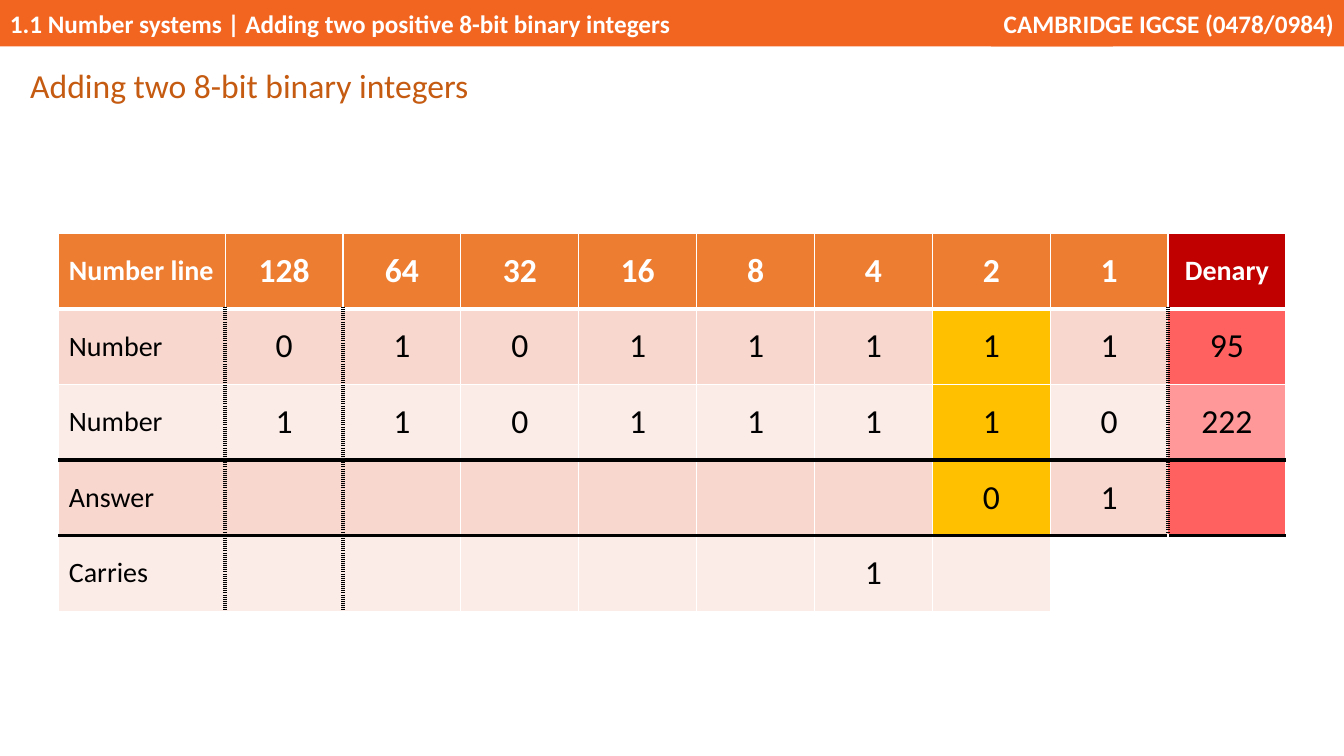
from lxml.etree import SubElement
from pptx import Presentation
from pptx.dml.color import RGBColor as Color
from pptx.enum.shapes import MSO_SHAPE as Shape
from pptx.enum.text import MSO_ANCHOR as Anchor, PP_ALIGN as Align
from pptx.oxml.ns import qn
from pptx.util import Pt

WHITE = Color(0xFF, 0xFF, 0xFF)
BLACK = Color(0, 0, 0)
BAR = Color(0xF2, 0x65, 0x21)
TITLE = Color(0xC5, 0x5A, 0x11)
HEAD = Color(0xED, 0x7D, 0x31)
DARK = Color(0xC0, 0, 0)
BANDS = Color(0xF8, 0xD7, 0xCE), Color(0xFC, 0xEC, 0xE8)
REDS = Color(0xFF, 0x61, 0x61), Color(0xFF, 0x99, 0x99)
GOLD = Color(0xFF, 0xC0, 0)

ROWS = [
    ["Number line", "128", "64", "32", "16", "8", "4", "2", "1", "Denary"],
    ["Number", "0", "1", "0", "1", "1", "1", "1", "1", "95"],
    ["Number", "1", "1", "0", "1", "1", "1", "1", "0", "222"],
    ["Answer", "", "", "", "", "", "", "0", "1", ""],
    ["Carries", "", "", "", "", "", "1", "", "", ""],
]
LAST_ROW = len(ROWS) - 1
LAST_COL = len(ROWS[0]) - 1
THIN = WHITE, 1, "solid"
THICK = WHITE, 3, "solid"
RULE = BLACK, 3, "solid"
DOTS = BLACK, 3, "sysDot"


def write(frame, text, size=18, color=WHITE, bold=False, align=Align.LEFT,
          font="Calibri", line=None, after=None):
    par = frame.paragraphs[0]
    par.alignment = align
    par.line_spacing = line
    if after is not None:
        par.space_after = Pt(after)
    run = par.add_run()
    run.text = text
    face = run.font
    face.name, face.size, face.bold = font, Pt(size), bold
    face.color.rgb = color


def tint(row, col):
    if row == 0:
        return DARK if col == LAST_COL else HEAD
    if row == LAST_ROW and col >= LAST_COL - 1:
        return WHITE
    if col == LAST_COL:
        return REDS[(row - 1) % 2]
    if col == LAST_COL - 2 and row < LAST_ROW:
        return GOLD
    return BANDS[(row - 1) % 2]


def upright(row, edge):
    """Style of the vertical edge to the left of column number edge."""
    if row and (edge in (1, 2) or edge == LAST_COL and row < LAST_ROW):
        return DOTS
    return THIN


def level(edge):
    """Style of the horizontal edge above row number edge."""
    return {1: THICK, 3: RULE, 4: RULE}.get(edge, THIN)


class Page:
    def __init__(self, deck):
        self.slide = deck.slides.add_slide(deck.slide_layouts[5])
        self.shapes = self.slide.shapes

    def bar(self, left, width, text, align):
        box = self.shapes.add_shape(Shape.RECTANGLE, Pt(left), 0, Pt(width), Pt(33.1))
        box.shadow.inherit = False
        box.fill.solid()
        box.fill.fore_color.rgb = BAR
        box.line.fill.background()
        box.text_frame.vertical_anchor = Anchor.MIDDLE
        write(box.text_frame, text, bold=True, align=align)

    def title(self, left, top, width, height, text):
        box = self.shapes.title
        box.left, box.top, box.width, box.height = map(Pt, (left, top, width, height))
        box.text_frame.word_wrap = True
        box.text_frame.vertical_anchor = Anchor.TOP
        write(box.text_frame, text, size=24, color=TITLE, line=1.07, after=8)

    def edge(self, cell, side, style):
        color, width, dash = style
        props = cell._tc.get_or_add_tcPr()
        line = SubElement(props, qn("a:ln" + side), w=str(Pt(width)))
        fill = SubElement(line, qn("a:solidFill"))
        SubElement(fill, qn("a:srgbClr"), val=str(color))
        SubElement(line, qn("a:prstDash"), val=dash)

    def cell(self, cell, row, col, text):
        self.edge(cell, "L", upright(row, col))
        self.edge(cell, "R", upright(row, col + 1))
        self.edge(cell, "T", level(row))
        self.edge(cell, "B", level(row + 1))
        cell.fill.solid()
        cell.fill.fore_color.rgb = tint(row, col)
        cell.vertical_anchor = Anchor.MIDDLE
        if text:
            small = col == 0 or text == "Denary"
            write(cell.text_frame, text, size=20 if small else 24,
                  color=BLACK if row else WHITE, bold=row == 0,
                  align=Align.CENTER if col else Align.LEFT)

    def table(self, left, top, first, width, height, rows):
        count = len(rows[0])
        grid = self.shapes.add_table(
            len(rows), count, Pt(left), Pt(top),
            Pt(first + width * (count - 1)), Pt(height * len(rows))).table
        for col, column in enumerate(grid.columns):
            column.width = Pt(width if col else first)
        for row, texts in enumerate(rows):
            grid.rows[row].height = Pt(height)
            for col, text in enumerate(texts):
                self.cell(grid.cell(row, col), row, col, text)


def main():
    deck = Presentation()
    deck.slide_width, deck.slide_height = Pt(960), Pt(540)
    page = Page(deck)
    page.bar(0, 795, "1.1 Number systems | Adding two positive 8-bit binary integers",
             Align.LEFT)
    page.bar(708, 252, "CAMBRIDGE IGCSE (0478/0984)", Align.RIGHT)
    page.table(42, 166.5, 118.8, 84.2, 54, ROWS)
    page.title(14.4, 41, 345.6, 36.7, "Adding two 8-bit binary integers")
    deck.save("out.pptx")


if __name__ == "__main__":
    main()
